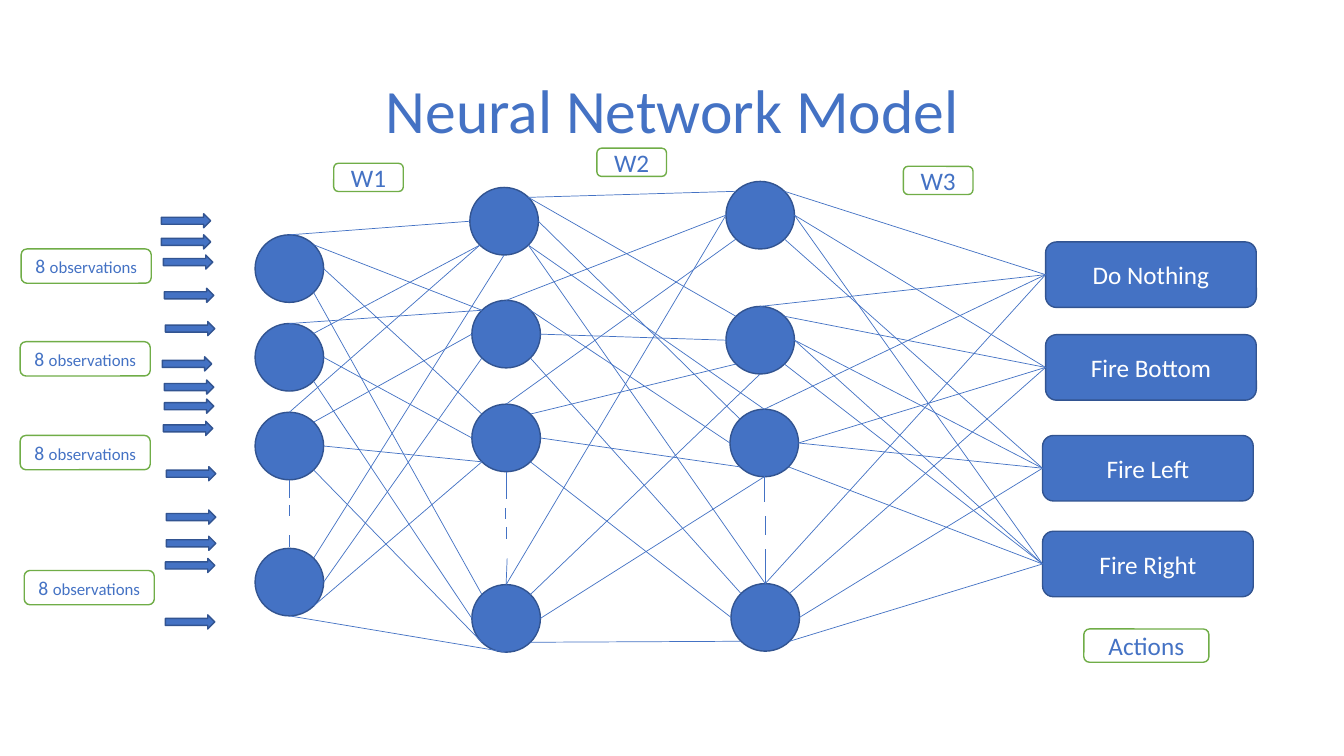
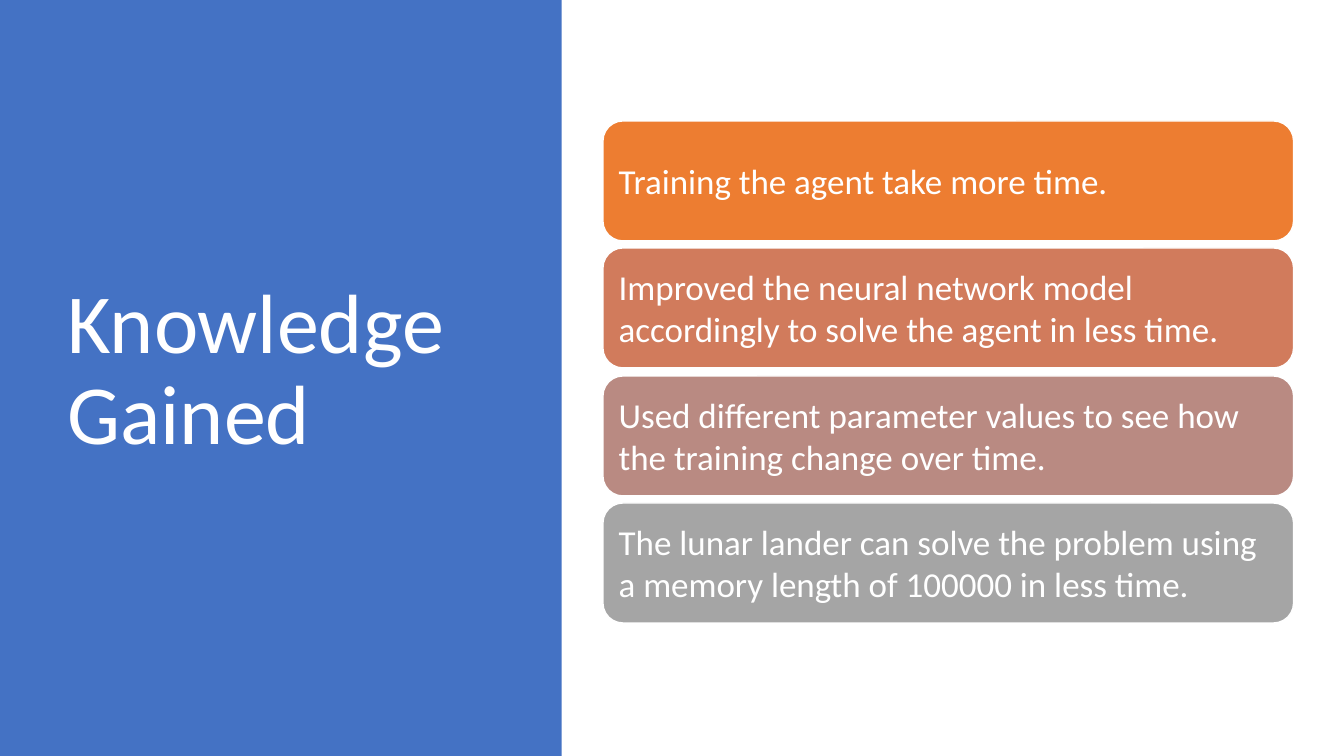
import math
from dataclasses import dataclass
from typing import Any, NamedTuple

import lxml.etree
import pptx
import pptx.dml.color
import pptx.enum.shapes
import pptx.enum.text
import pptx.oxml.ns
import pptx.util

EMU_PER_PX = 9144
FONT = "Calibri"
COLORS = {
    "blue": "4472C4",
    "navy": "325491",
    "green": "70AD47",
    "white": "FFFFFF",
    "orange": "ED7D31",
    "coral": "D17B5C",
    "rose": "B98A82",
    "gray": "A5A5A5",
}

SHAPE = pptx.enum.shapes.MSO_SHAPE
ALIGN = pptx.enum.text.PP_ALIGN
MIDDLE = pptx.enum.text.MSO_ANCHOR.MIDDLE
NO_FIT = pptx.enum.text.MSO_AUTO_SIZE.NONE


class Box(NamedTuple):
    left: int
    top: int
    width: int
    height: int


class Segment(NamedTuple):
    x1: float
    y1: float
    x2: float
    y2: float


class Synapse(NamedTuple):
    source: str
    exit: str
    target: str
    entry: str


@dataclass(frozen=True)
class Style:
    fill: str
    outline: str | None
    text: str = "white"
    align: Any = ALIGN.CENTER
    inset: int = 10


@dataclass(frozen=True)
class Label:
    box: Box
    runs: tuple[tuple[str, int], ...]


SOLID = Style("blue", "navy")
TAG = Style("white", "green", "blue")

NEURON_WIDTH, NEURON_HEIGHT = 68, 67
NEURONS = {
    "I1": (253, 233), "I2": (253, 321), "I3": (253, 409), "I4": (253, 544),
    "A1": (466, 186), "A2": (468, 298), "A3": (468, 401), "A4": (468, 580),
    "B1": (720, 180), "B2": (720, 304), "B3": (724, 406), "B4": (725, 579),
}
ANGLES = {"R": 0, "BR": 45, "B": 90, "BL": 135, "L": 180, "TL": 225, "T": 270, "TR": 315}

SYNAPSES = [
    Synapse("I1", "T", "A1", "L"),
    Synapse("I1", "TR", "A2", "TL"),
    Synapse("I1", "R", "A3", "TL"),
    Synapse("I1", "BR", "A4", "TL"),
    Synapse("I2", "BR", "A4", "L"),
    Synapse("I2", "R", "A3", "L"),
    Synapse("I2", "TR", "A1", "BL"),
    Synapse("I2", "T", "A2", "TL"),
    Synapse("I3", "BR", "A4", "BL"),
    Synapse("I3", "R", "A3", "BL"),
    Synapse("I3", "TR", "A2", "L"),
    Synapse("I3", "T", "A1", "BL"),
    Synapse("I4", "TR", "A1", "B"),
    Synapse("I4", "R", "A2", "BL"),
    Synapse("I4", "BR", "A3", "BL"),
    Synapse("I4", "B", "A4", "B"),
    Synapse("A1", "TR", "B1", "TL"),
    Synapse("A1", "TR", "B2", "TL"),
    Synapse("A1", "BR", "B3", "T"),
    Synapse("A1", "BR", "B4", "T"),
    Synapse("A1", "R", "B3", "TL"),
    Synapse("A2", "BR", "B4", "TL"),
    Synapse("A2", "R", "B2", "L"),
    Synapse("A2", "TR", "B3", "L"),
    Synapse("A2", "T", "B1", "L"),
    Synapse("A3", "BR", "B4", "L"),
    Synapse("A3", "T", "B1", "BL"),
    Synapse("A3", "TR", "B2", "BL"),
    Synapse("A3", "R", "B3", "BL"),
    Synapse("A4", "BR", "B4", "BL"),
    Synapse("A4", "R", "B3", "B"),
    Synapse("A4", "TR", "B2", "B"),
    Synapse("A4", "T", "B1", "L"),
]

ACTIONS = {
    "Do Nothing": (1037, 240),
    "Fire Bottom": (1037, 332),
    "Fire Left": (1034, 432),
    "Fire Right": (1034, 527),
}
ACTION_INPUTS = {
    "Do Nothing": [("B1", "TR"), ("B2", "T"), ("B3", "T"), ("B4", "T")],
    "Fire Bottom": [("B1", "R"), ("B2", "TR"), ("B3", "R"), ("B4", "TR")],
    "Fire Left": [("B1", "BR"), ("B2", "R"), ("B3", "R"), ("B4", "R")],
    "Fire Right": [("B1", "R"), ("B2", "BR"), ("B3", "BR"), ("B4", "BR"), ("B2", "R")],
}

OBSERVATION_CORNERS = [(21, 247), (20, 339), (20, 432), (24, 566)]
TAGS = [
    Label(Box(1075, 624, 124, 33), (("Actions", 18),)),
    Label(Box(331, 162, 69, 28), (("W1", 18),)),
    Label(Box(592, 147, 69, 28), (("W2", 18),)),
    Label(Box(896, 165, 69, 28), (("W3", 18),)),
] + [
    Label(Box(left, top, 129, 34), (("8 ", 14), ("observations", 12)))
    for left, top in OBSERVATION_CORNERS
]

INPUT_ARROWS = [
    (160, 212), (160, 233), (162, 253), (163, 286), (164, 319), (161, 354), (163, 377),
    (163, 396), (162, 418), (165, 463), (165, 506), (165, 532), (164, 554), (164, 610),
]
OMITTED_NEURON_DASHES = [
    Segment(287, 476, 287, 494),
    Segment(287, 501, 287, 512),
    Segment(287, 531, 287, 543),
    Segment(502, 468, 502, 495),
    Segment(501, 504, 501, 515),
    Segment(502, 523, 502, 535),
    Segment(503, 554, 502, 580),
    Segment(758, 472, 758, 498),
    Segment(759, 512, 759, 531),
    Segment(759, 545, 759, 579),
]

LESSONS = [
    ("orange", "Training the agent take more time."),
    ("coral", "Improved the neural network model accordingly to solve the agent in less time."),
    ("rose", "Used different parameter values to see how the training change over time."),
    ("gray", "The lunar lander can solve the problem using a memory length of 100000 in less time."),
]
LESSONS_TOP, LESSONS_SPAN, LESSON_HEIGHT = 120, 498, 119


def px(length: float) -> pptx.util.Emu:
    return pptx.util.Emu(round(length * EMU_PER_PX))


def rgb(color: str) -> pptx.dml.color.RGBColor:
    return pptx.dml.color.RGBColor.from_string(COLORS[color])


def apply_format(target: Any, values: dict[str, Any]) -> None:
    for attribute, value in values.items():
        setattr(target, attribute, value)


def format_font(font: Any, size: int, color: str) -> None:
    apply_format(font, {"name": FONT, "size": pptx.util.Pt(size)})
    font.color.rgb = rgb(color)


def add_titled_slide(deck: Any, title: str, box: Box, size: int, color: str, align: Any) -> Any:
    slide = deck.slides.add_slide(deck.slide_layouts[5])
    heading = slide.shapes.title
    apply_format(heading, {side: px(length) for side, length in box._asdict().items()})
    apply_format(
        heading.text_frame,
        {"text": title, "word_wrap": True, "auto_size": NO_FIT, "vertical_anchor": MIDDLE},
    )
    paragraph = heading.text_frame.paragraphs[0]
    apply_format(paragraph, {"alignment": align, "line_spacing": 0.9})
    format_font(paragraph.runs[0].font, size, color)
    return slide


def add_block(
    slide: Any, preset: Any, box: Box, style: Style, runs: tuple[tuple[str, int], ...] = ()
) -> Any:
    block = slide.shapes.add_shape(preset, *map(px, box))
    block.shadow.inherit = False
    block.fill.solid()
    block.fill.fore_color.rgb = rgb(style.fill)
    if style.outline:
        block.line.color.rgb = rgb(style.outline)
        block.line.width = pptx.util.Pt(1)
    else:
        block.line.fill.background()
    if runs:
        apply_format(
            block.text_frame,
            {
                "word_wrap": True,
                "vertical_anchor": MIDDLE,
                "margin_left": px(style.inset),
                "margin_right": px(style.inset),
            },
        )
        paragraph = block.text_frame.paragraphs[0]
        paragraph.alignment = style.align
        for text, size in runs:
            run = paragraph.add_run()
            run.text = text
            format_font(run.font, size, style.text)
    return block


def add_link(slide: Any, segment: Segment) -> Any:
    link = slide.shapes.add_connector(
        pptx.enum.shapes.MSO_CONNECTOR.STRAIGHT, *map(px, segment)
    )
    link.line.color.rgb = rgb("blue")
    link.line.width = pptx.util.Pt(0.5)
    lxml.etree.SubElement(link.element.spPr, pptx.oxml.ns.qn("a:effectLst"))
    return link


def neuron_point(neuron: str, site: str) -> tuple[float, float]:
    left, top = NEURONS[neuron]
    angle = math.radians(ANGLES[site])
    return (
        left + NEURON_WIDTH / 2 * (1 + math.cos(angle)),
        top + NEURON_HEIGHT / 2 * (1 + math.sin(angle)),
    )


def build_network_slide(deck: Any) -> None:
    slide = add_titled_slide(
        deck, "Neural Network Model", Box(92, 40, 1150, 145), 44, "blue", ALIGN.CENTER
    )
    for corner in NEURONS.values():
        add_block(slide, SHAPE.OVAL, Box(*corner, NEURON_WIDTH, NEURON_HEIGHT), SOLID)
    for synapse in SYNAPSES:
        start = neuron_point(synapse.source, synapse.exit)
        end = neuron_point(synapse.target, synapse.entry)
        add_link(slide, Segment(*start, *end))
    for action, (left, top) in ACTIONS.items():
        button = add_block(
            slide, SHAPE.ROUNDED_RECTANGLE, Box(left, top, 209, 65), SOLID, ((action, 18),)
        )
        for neuron, site in ACTION_INPUTS[action]:
            link = add_link(slide, Segment(*neuron_point(neuron, site), left, top + 32.5))
            link.end_connect(button, 1)
    for dash in OMITTED_NEURON_DASHES:
        add_link(slide, dash)
    for corner in INPUT_ARROWS:
        add_block(slide, SHAPE.RIGHT_ARROW, Box(*corner, 49, 14), SOLID)
    for tag in TAGS:
        add_block(slide, SHAPE.ROUNDED_RECTANGLE, tag.box, TAG, tag.runs)


def build_lessons_slide(deck: Any) -> None:
    slide = add_titled_slide(
        deck, "Knowledge Gained", Box(57, 68, 416, 602), 60, "white", ALIGN.LEFT
    )
    panel = add_block(slide, SHAPE.RECTANGLE, Box(0, 0, 557, 750), Style("blue", None))
    slide.shapes.element.insert(2, panel.element)
    pitch = (LESSONS_SPAN - LESSON_HEIGHT) / (len(LESSONS) - 1)
    for row, (color, lesson) in enumerate(LESSONS):
        box = Box(598, round(LESSONS_TOP + row * pitch), 685, LESSON_HEIGHT)
        style = Style(color, "white", align=ALIGN.LEFT, inset=10)
        add_block(slide, SHAPE.ROUNDED_RECTANGLE, box, style, ((lesson, 25),))


def main() -> None:
    deck = pptx.Presentation()
    apply_format(deck, {"slide_width": px(1333), "slide_height": px(750)})
    build_network_slide(deck)
    build_lessons_slide(deck)
    deck.save("out.pptx")


if __name__ == "__main__":
    main()
